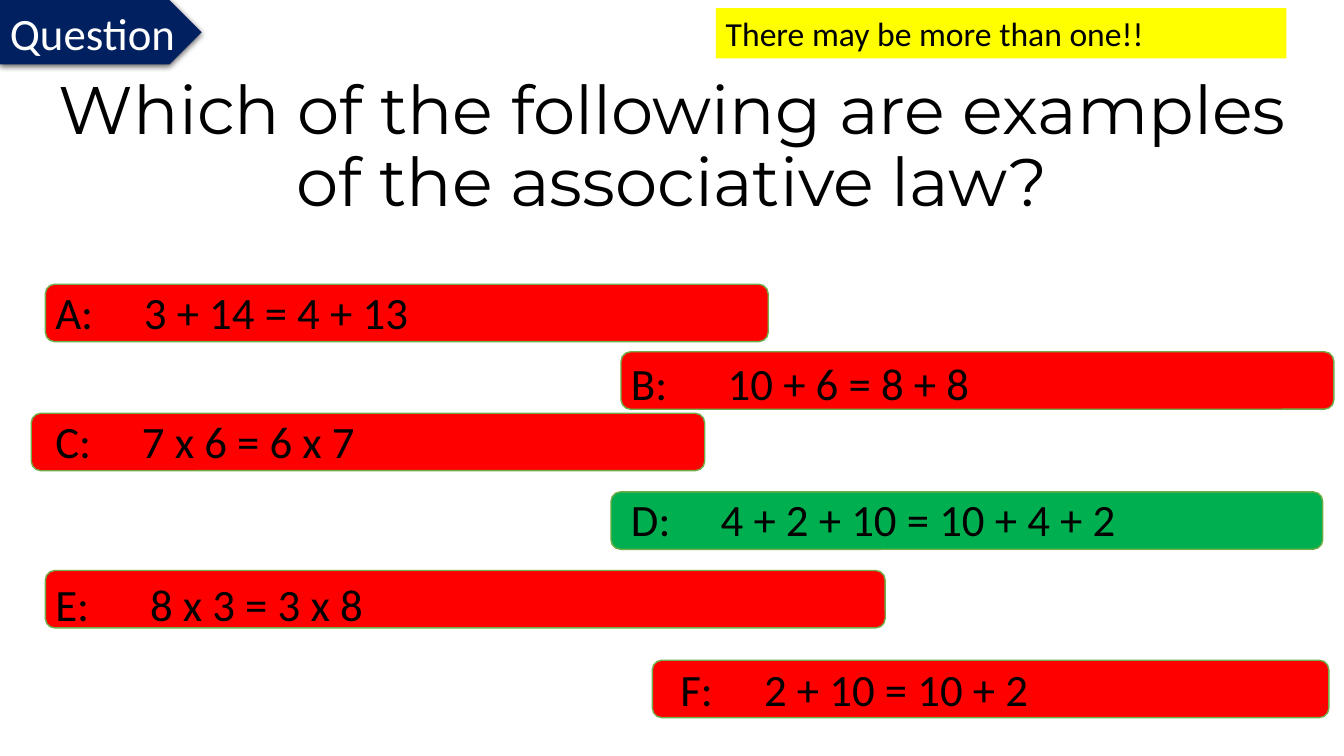
from lxml.etree import SubElement
from pptx import Presentation
from pptx.dml.color import RGBColor
from pptx.enum.shapes import MSO_SHAPE
from pptx.enum.text import MSO_ANCHOR, MSO_AUTO_SIZE, PP_ALIGN
from pptx.oxml.ns import qn
from pptx.util import Inches, Pt

BLACK = RGBColor(0x00, 0x00, 0x00)
WHITE = RGBColor(0xFF, 0xFF, 0xFF)
NAVY = RGBColor(0x00, 0x20, 0x60)
YELLOW = RGBColor(0xFF, 0xFF, 0x00)
RED = RGBColor(0xFF, 0x00, 0x00)
GREEN = RGBColor(0x00, 0xB0, 0x50)
EDGE = RGBColor(0x70, 0xAD, 0x47)

BAR_H = 0.57
TEXT_H = 0.64

# Label, sum, fill, bar (left, top, width), text (left, top, width), tab
ANSWERS = [
    ("A:", "3 + 14 = 4 + 13", RED, (0.45, 2.82, 7.17), (0.45, 2.78, 7.23), 0.88),
    ("C:", "7 x 6 = 6 x 7", RED, (0.31, 4.1, 6.68), (0.45, 4.06, 8.4), 0.86),
    ("B:", "10 + 6 = 8 + 8", RED, (6.16, 3.49, 7.07), (6.16, 3.48, 7.1), 0.96),
    ("D:", "4 + 2 + 10 = 10 + 4 + 2", GREEN, (6.06, 4.88, 7.06), (6.16, 4.83, 6.54), 0.89),
    ("E:", "8 x 3 = 3 x 8", RED, (0.45, 5.66, 8.33), (0.45, 5.67, 8.33), 0.94),
    ("F:", "2 + 10 = 10 + 2", RED, (6.47, 6.55, 6.71), (6.65, 6.52, 6.69), 0.83),
]


def add_block(slide, kind, box, fill, edge=None):
    block = slide.shapes.add_shape(kind, *map(Inches, box))
    block.shadow.inherit = False
    block.fill.solid()
    block.fill.fore_color.rgb = fill
    if edge is None:
        block.line.fill.background()
    else:
        block.line.color.rgb = edge
        block.line.width = Pt(1)
    return block


def add_label(slide, box):
    label = slide.shapes.add_textbox(*map(Inches, box))
    label.text_frame.word_wrap = True
    return label


def set_text(shape, text, size, color=BLACK, face="Calibri", align=PP_ALIGN.LEFT):
    shape.text_frame.text = text
    para = shape.text_frame.paragraphs[0]
    para.alignment = align
    font = para.runs[0].font
    font.size, font.name, font.color.rgb = Pt(size), face, color
    return para


def add_tab(para, pos):
    tabs = SubElement(para._p.get_or_add_pPr(), qn("a:tabLst"))
    SubElement(tabs, qn("a:tab"), pos=str(Inches(pos)), algn="l")


def add_shadow(shape):
    effects = shape._element.spPr.find(qn("a:effectLst"))
    shade = SubElement(effects, qn("a:outerShdw"), blurRad=str(Pt(4.5)),
                       dist=str(Pt(1.5)), dir="5400000", algn="ctr", rotWithShape="0")
    color = SubElement(shade, qn("a:srgbClr"), val=str(BLACK))
    SubElement(color, qn("a:alpha"), val="63000")


def add_title(slide):
    title = add_label(slide, (0.08, 0.75, 13.18, 1.45))
    title.text_frame.vertical_anchor = MSO_ANCHOR.MIDDLE
    para = set_text(title, "Which of the following are examples of the associative law?",
                    48, face="Montserrat", align=PP_ALIGN.CENTER)
    para.line_spacing = 0.9


def add_tag(slide):
    tag = add_block(slide, MSO_SHAPE.PENTAGON, (0, 0, 2, 0.64), NAVY)
    add_shadow(tag)
    set_text(tag, "Question", 32, WHITE)
    tag.text_frame.word_wrap = False
    tag.text_frame.auto_size = MSO_AUTO_SIZE.SHAPE_TO_FIT_TEXT


def add_answer(slide, letter, formula, fill, bar, spot, tab):
    add_block(slide, MSO_SHAPE.ROUNDED_RECTANGLE, (*bar, BAR_H), fill, EDGE)
    label = add_label(slide, (*spot, TEXT_H))
    label.text_frame.auto_size = MSO_AUTO_SIZE.SHAPE_TO_FIT_TEXT
    add_tab(set_text(label, f"{letter}\t{formula}", 32), tab)


def add_hint(slide):
    hint = add_block(slide, MSO_SHAPE.RECTANGLE, (7.1, 0.08, 5.66, 0.5), YELLOW)
    set_text(hint, "There may be more than one!!", 24)
    hint.text_frame.word_wrap = True
    hint.text_frame.auto_size = MSO_AUTO_SIZE.SHAPE_TO_FIT_TEXT


def main():
    deck = Presentation()
    deck.slide_width, deck.slide_height = Inches(13.33), Inches(7.5)
    slide = deck.slides.add_slide(deck.slide_layouts[6])

    # Heading and question tag
    add_title(slide)
    add_tag(slide)

    # Answer bars
    for answer in ANSWERS:
        add_answer(slide, *answer)

    # Hint
    add_hint(slide)
    deck.save("out.pptx")


if __name__ == "__main__":
    main()
